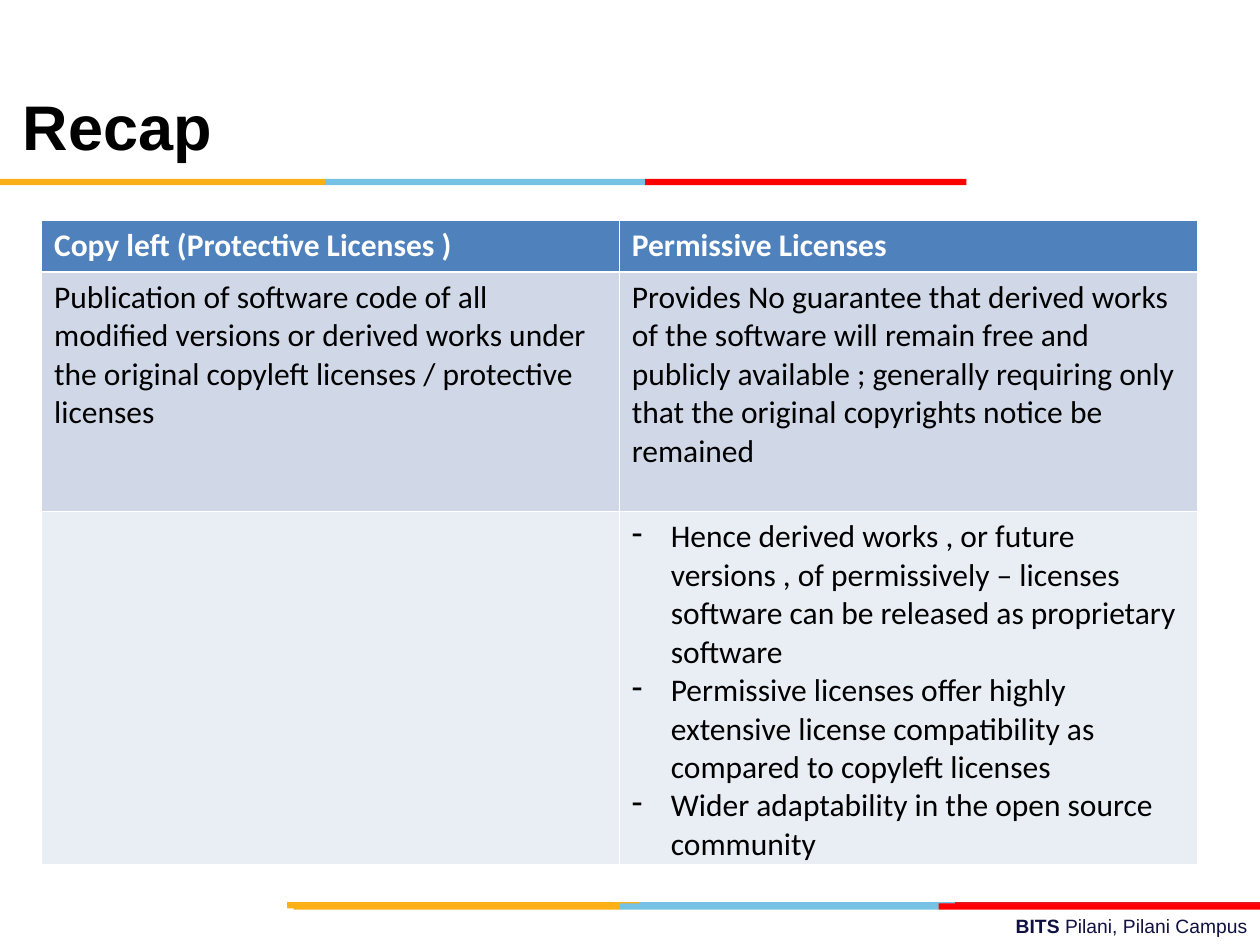
from lxml import etree
from pptx import Presentation
from pptx.dml.color import RGBColor
from pptx.enum.shapes import MSO_SHAPE
from pptx.enum.text import MSO_ANCHOR, PP_ALIGN
from pptx.oxml.ns import qn
from pptx.util import Inches, Pt

RECTANGLE = MSO_SHAPE.RECTANGLE
MIDDLE = MSO_ANCHOR.MIDDLE
LEFT, RIGHT = PP_ALIGN.LEFT, PP_ALIGN.RIGHT

YELLOW, BLUE, RED, DARK_RED = "FCB017", "76C2E5", "FF0000", "E31C24"
BLACK, WHITE, NAVY = "000000", "FFFFFF", "101141"
ROW_FILLS = ["4F81BD", "D0D8E8", "E9EDF4"]
ROW_HEIGHTS = [0.41, 1.9, 2.8]
THIN, THICK = 0.45, 1.47

BAR_ROWS = [
    (7.16, [2.28, 5.08, 7.58, 10], [YELLOW, BLUE, DARK_RED]),
    (7.17, [2.33, 4.92, 7.45, 10], [YELLOW, BLUE, RED]),
    (1.42, [0, 2.58, 5.12, 7.67], [YELLOW, BLUE, RED]),
]

LICENSES = [
    [["Copy left (Protective Licenses )"], ["Permissive Licenses"]],
    [
        ["Publication of software code of all modified versions or derived works "
         "under the original copyleft licenses / protective licenses"],
        ["Provides No guarantee that derived works of the software will remain free "
         "and publicly available ; generally requiring only that the original "
         "copyrights notice be remained"],
    ],
    [
        [],
        ["Hence derived works , or future versions , of permissively – licenses "
         "software can be released as proprietary software",
         "Permissive licenses offer highly extensive license compatibility as "
         "compared to copyleft licenses",
         "Wider adaptability in the open source community"],
    ],
]


def color(value):
    return RGBColor.from_string(value)


def set_font(font, hex_color, **values):
    for name, value in values.items():
        setattr(font, name, value)
    font.color.rgb = color(hex_color)


def add_bars(slide, top, edges, colors):
    for left, right, fill in zip(edges, edges[1:], colors):
        bar = slide.shapes.add_shape(
            RECTANGLE, Inches(left), Inches(top), Inches(right - left), Inches(0.05))
        bar.shadow.inherit = False
        bar.fill.solid()
        bar.fill.fore_color.rgb = color(fill)
        bar.line.fill.background()


def add_title(slide, text):
    title = slide.shapes.title
    position = {"left": 0.08, "top": 0.42, "width": 8.83, "height": 1.25}
    for name, value in position.items():
        setattr(title, name, Inches(value))
    title.text_frame.vertical_anchor = MIDDLE
    title.text_frame.text = text
    para = title.text_frame.paragraphs[0]
    para.alignment = LEFT
    para.line_spacing = Pt(36)
    set_font(para.runs[0].font, BLACK, name="Arial", size=Pt(36), bold=True)


def add_footer(slide, spans):
    box = slide.shapes.add_textbox(Inches(3.58), Inches(7.21), Inches(6.42), Inches(0.29))
    box.text_frame.word_wrap = True
    para = box.text_frame.paragraphs[0]
    para.alignment = RIGHT
    for text, bold in spans:
        span = para.add_run()
        span.text = text
        set_font(span.font, NAVY, name="Arial", size=Pt(11), bold=bold)


def set_borders(cell, widths):
    properties = cell._tc.get_or_add_tcPr()
    for side, width in widths.items():
        line = etree.SubElement(properties, qn(f"a:ln{side}"), w=str(Pt(width)))
        fill = etree.SubElement(line, qn("a:solidFill"))
        etree.SubElement(fill, qn("a:srgbClr"), val=WHITE)


def add_dash(para):
    properties = para._p.get_or_add_pPr()
    properties.set("marL", str(Inches(0.31)))
    properties.set("indent", str(Inches(-0.31)))
    etree.SubElement(properties, qn("a:buChar"), char="-")


def fill_cell(cell, texts, row):
    set_borders(cell, {"L": THIN, "R": THIN,
                       "T": THICK if row == 1 else THIN,
                       "B": THICK if row == 0 else THIN})
    cell.fill.solid()
    cell.fill.fore_color.rgb = color(ROW_FILLS[row])
    frame = cell.text_frame
    for index, text in enumerate(texts):
        para = frame.add_paragraph() if index else frame.paragraphs[0]
        if len(texts) > 1:
            add_dash(para)
        span = para.add_run()
        span.text = text
        set_font(span.font, BLACK if row else WHITE,
                 name="Calibri", size=Pt(18), bold=row == 0)


def add_license_table(slide):
    table = slide.shapes.add_table(
        len(LICENSES), 2, Inches(0.33), Inches(1.75),
        Inches(9.17), Inches(sum(ROW_HEIGHTS))).table
    table.horz_banding = False
    for row, cells in enumerate(LICENSES):
        table.rows[row].height = Inches(ROW_HEIGHTS[row])
        for column, texts in enumerate(cells):
            fill_cell(table.cell(row, column), texts, row)


def main():
    deck = Presentation()
    deck.slide_width, deck.slide_height = Inches(10), Inches(7.5)
    slide = deck.slides.add_slide(deck.slide_layouts[5])
    add_footer(slide, [("BITS ", True), ("Pilani, Pilani Campus", False)])
    for top, edges, colors in BAR_ROWS:
        add_bars(slide, top, edges, colors)
    add_title(slide, "Recap")
    add_license_table(slide)
    deck.save("out.pptx")


if __name__ == "__main__":
    main()
